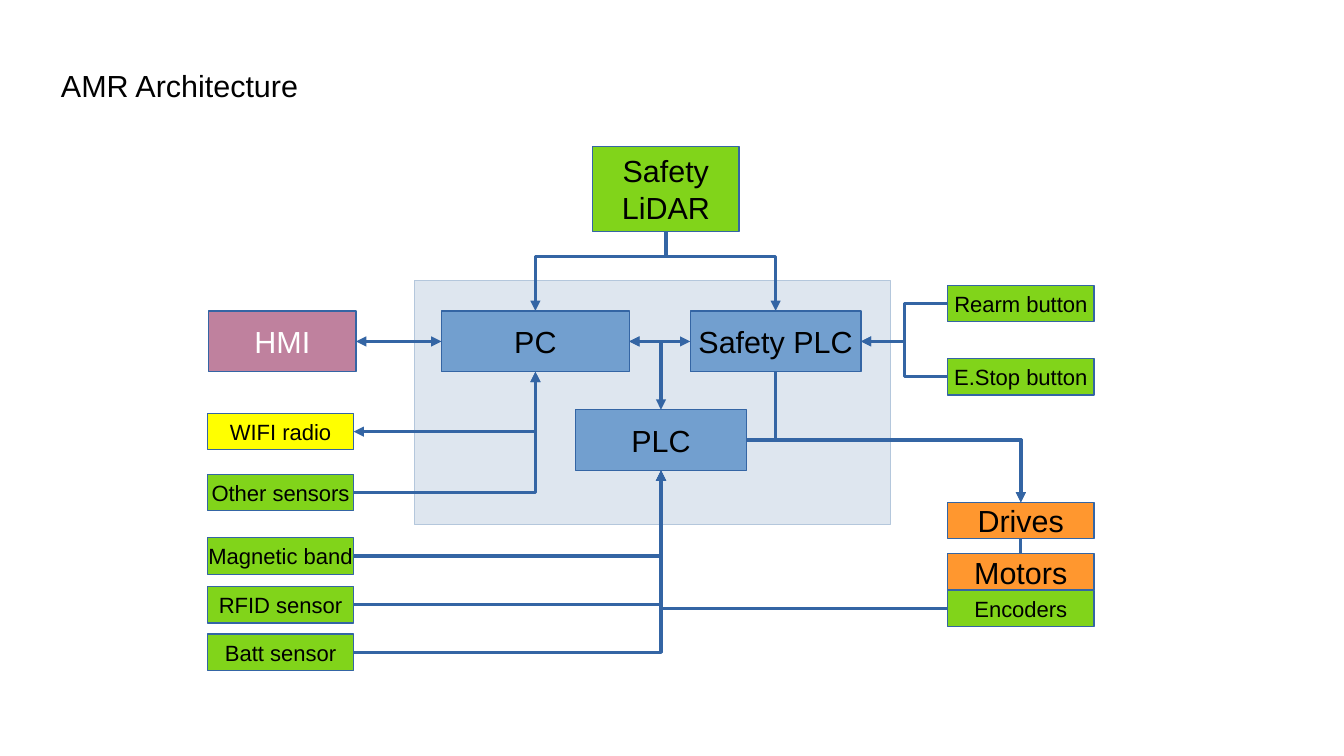
from lxml import etree
from pptx import Presentation
from pptx.dml.color import RGBColor
from pptx.enum.shapes import MSO_CONNECTOR as CONN, MSO_SHAPE as SHAPE
from pptx.enum.text import MSO_ANCHOR as ANCHOR, MSO_AUTO_SIZE as AUTO, PP_ALIGN as ALIGN
from pptx.oxml.ns import qn
from pptx.util import Inches, Pt

COLORS = {
    "panel": "DEE6EF", "panel_line": "B4C7DC", "line": "3465A4",
    "controller": "729FCF", "sensor": "81D41A", "drive": "FF972F",
    "radio": "FFFF00", "hmi": "BF819E", "black": "000000", "white": "FFFFFF",
}
TOP, LEFT, BOTTOM, RIGHT = range(4)

BOXES = [
    ("PLC", 4.72, 3.36, 1.4, 0.5, "controller", 18),
    ("PC", 3.62, 2.55, 1.54, 0.5, "controller", 18),
    ("Safety PLC", 5.66, 2.55, 1.4, 0.5, "controller", 18),
    ("Safety\nLiDAR", 4.86, 1.2, 1.2, 0.7, "sensor", 18),
    ("HMI", 1.71, 2.55, 1.21, 0.5, "hmi", 18),
]
LEFT_COLUMN = [
    ("WIFI radio", 3.39, "radio", 13),
    ("Other sensors", 3.89, "sensor", 13),
    ("Magnetic band", 4.41, "sensor", 13),
    ("RFID sensor", 4.81, "sensor", 13),
    ("Batt sensor", 5.2, "sensor", 13),
]
RIGHT_COLUMN = [
    ("Rearm button", 2.34, "sensor", 13),
    ("E.Stop button", 2.94, "sensor", 13),
    ("Drives", 4.12, "drive", 18),
    ("Motors", 4.54, "drive", 18),
    ("Encoders", 4.84, "sensor", 13),
]
for column_left, column in ((1.7, LEFT_COLUMN), (7.77, RIGHT_COLUMN)):
    BOXES += [(text, column_left, top, 1.2, 0.3, fill, size) for text, top, fill, size in column]

LINKS = [
    ("Motors", TOP, "Drives", BOTTOM, "straight", ""),
    ("Encoders", LEFT, "PLC", BOTTOM, "corner", "tail"),
    ("PLC", RIGHT, "Drives", TOP, "corner", "tail"),
    ("RFID sensor", RIGHT, "PLC", BOTTOM, "corner", "tail"),
    ("Magnetic band", RIGHT, "PLC", BOTTOM, "corner", "tail"),
    ("Batt sensor", RIGHT, "PLC", BOTTOM, "corner", "tail"),
    ("Safety\nLiDAR", BOTTOM, "Safety PLC", TOP, "drop", "tail", 31000),
    ("Safety\nLiDAR", BOTTOM, "PC", TOP, "drop", "tail", 31000),
    ("Safety PLC", BOTTOM, "Drives", TOP, "drop", "tail", 52000),
    ("E.Stop button", LEFT, "Safety PLC", RIGHT, "step", "tail"),
    ("Rearm button", LEFT, "Safety PLC", RIGHT, "step", "tail"),
    ("Other sensors", RIGHT, "PC", BOTTOM, "corner", "tail"),
    ("WIFI radio", RIGHT, "PC", BOTTOM, "corner", "head tail"),
    ("PC", RIGHT, "Safety PLC", LEFT, "straight", "head tail"),
    ("PC", RIGHT, "PLC", TOP, "corner", "head tail"),
    ("HMI", RIGHT, "PC", LEFT, "straight", "head tail"),
]


def rgb(name):
    return RGBColor.from_string(COLORS[name])


def add_run(p, text, size, color):
    r = p.add_run()
    r.text = text
    r.font.name = "Arial"
    r.font.size = Pt(size)
    r.font.color.rgb = rgb(color)


def add_title(s, text):
    title = s.shapes.title
    title.left, title.top = Inches(0.4), Inches(0.5)
    title.width, title.height = Inches(2.8), Inches(0.38)
    tf = title.text_frame
    tf.auto_size = AUTO.NONE
    tf.vertical_anchor = ANCHOR.TOP
    p = tf.paragraphs[0]
    p.alignment = ALIGN.LEFT
    add_run(p, text, 18, "black")


def add_rect(s, left, top, width, height, fill, line):
    sp = s.shapes.add_shape(SHAPE.RECTANGLE, Inches(left), Inches(top), Inches(width), Inches(height))
    sp.shadow.inherit = False
    sp.fill.solid()
    sp.fill.fore_color.rgb = rgb(fill)
    sp.line.color.rgb = rgb(line)
    sp.line.width = Pt(0)
    return sp


def add_box(s, text, left, top, width, height, fill, size):
    sp = add_rect(s, left, top, width, height, fill, "line")
    tf = sp.text_frame
    tf.word_wrap = False
    tf.vertical_anchor = ANCHOR.MIDDLE
    for i, line in enumerate(text.split("\n")):
        p = tf.add_paragraph() if i else tf.paragraphs[0]
        p.alignment = ALIGN.CENTER
        add_run(p, line, size, "white" if fill == "hmi" else "black")
    return sp


def turn_downward(cxn, bend):
    dx, dy = cxn.end_x - cxn.begin_x, cxn.end_y - cxn.begin_y
    mid_x, mid_y = (cxn.begin_x + cxn.end_x) // 2, (cxn.begin_y + cxn.end_y) // 2
    xfrm = cxn._element.spPr.find(qn("a:xfrm"))
    for flip in ("flipH", "flipV"):
        xfrm.attrib.pop(flip, None)
    cxn.width, cxn.height = dy, abs(dx)
    cxn.left, cxn.top = mid_x - dy // 2, mid_y - abs(dx) // 2
    xfrm.set("rot", "16200000" if dx > 0 else "5400000")
    if dx > 0:
        xfrm.set("flipH", "1")
    guides = cxn._element.spPr.find(qn("a:prstGeom")).get_or_add_avLst()
    etree.SubElement(guides, qn("a:gd"), name="adj1", fmla=f"val {bend}")


def add_link(s, start, start_side, end, end_side, route, arrows, bend=50000):
    kind = CONN.STRAIGHT if route == "straight" else CONN.ELBOW
    cxn = s.shapes.add_connector(kind, 0, 0, 0, 0)
    cxn.begin_connect(start, start_side)
    cxn.end_connect(end, end_side)
    cxn.line.color.rgb = rgb("line")
    cxn.line.width = Pt(0)
    props = cxn._element.spPr
    if route == "corner":
        props.find(qn("a:prstGeom")).set("prst", "bentConnector2")
    elif route == "drop":
        turn_downward(cxn, bend)
    for end_name in arrows.split():
        etree.SubElement(props.find(qn("a:ln")), qn(f"a:{end_name}End"), type="triangle")
    etree.SubElement(props, qn("a:effectLst"))


def main():
    prs = Presentation()
    prs.slide_width, prs.slide_height = Inches(11.02), Inches(6.2)
    s = prs.slides.add_slide(prs.slide_layouts[5])
    add_title(s, "AMR Architecture")
    add_rect(s, 3.4, 2.3, 3.9, 2, "panel", "panel_line")
    boxes = {box[0]: add_box(s, *box) for box in BOXES}
    for start, start_side, end, end_side, *style in LINKS:
        add_link(s, boxes[start], start_side, boxes[end], end_side, *style)
    prs.save("out.pptx")


if __name__ == "__main__":
    main()
